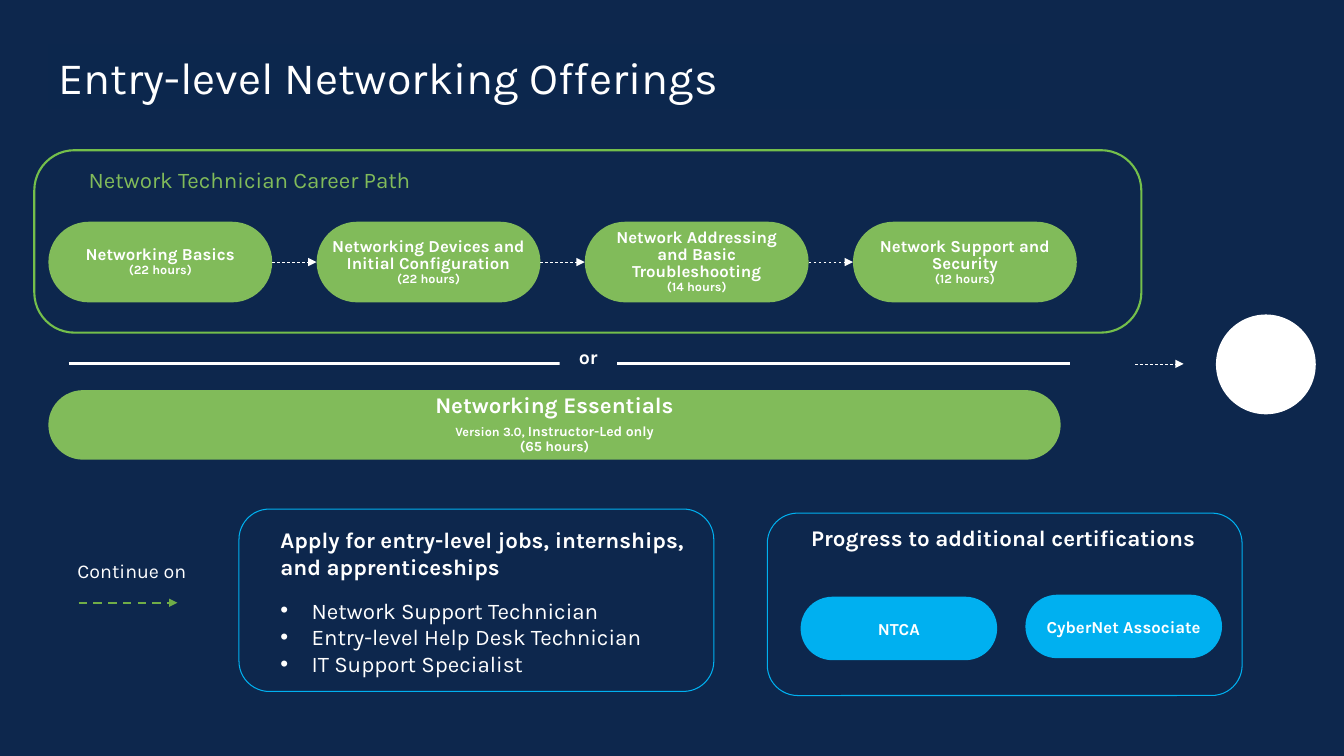
from copy import deepcopy

from lxml.etree import SubElement
from pptx import Presentation
from pptx.dml.color import RGBColor
from pptx.enum.dml import MSO_LINE
from pptx.enum.shapes import MSO_CONNECTOR, MSO_SHAPE
from pptx.enum.text import MSO_ANCHOR, MSO_AUTO_SIZE, PP_ALIGN
from pptx.oxml.ns import qn
from pptx.util import Emu, Pt

NAVY, TITLE_NAVY, WHITE = "0D274D", "0C274D", "FFFFFF"
GREEN, PATH_GREEN, ARROW_GREEN, BLUE = "81BB5A", "74BF4B", "70AD47", "00B0F0"
COURSES = [
    ("Networking Basics", 22),
    ("Networking Devices and Initial Configuration", 22),
    ("Network Addressing\nand Basic Troubleshooting", 14),
    ("Network Support and Security", 12),
]
JOBS = ["Network Support Technician", "Entry-level Help Desk Technician", "IT Support Specialist"]


def px(length):
    return Emu(length * 9144)


def colour(value):
    return RGBColor.from_string(value)


def write(shape, text, size=12, color=WHITE, bold=False, align=PP_ALIGN.LEFT, anchor=MSO_ANCHOR.TOP,
          inset=(10, 5), wrap=True, line_spacing=1.0, before=0, after=0, bullet=False, append=False):
    frame = shape.text_frame
    frame.word_wrap = wrap
    frame.auto_size = MSO_AUTO_SIZE.NONE
    frame.vertical_anchor = anchor
    frame.margin_left = frame.margin_right = px(inset[0])
    frame.margin_top = frame.margin_bottom = px(inset[1])
    paragraph = frame.add_paragraph() if append else frame.paragraphs[0]
    paragraph.alignment = align
    paragraph.line_spacing = line_spacing
    paragraph.space_before, paragraph.space_after = Pt(before), Pt(after)
    properties = paragraph._p.get_or_add_pPr()
    indent = px(31) if bullet else 0
    properties.set("marL", str(indent))
    properties.set("indent", str(-indent))
    if bullet:
        SubElement(properties, qn("a:buFont"), typeface="Arial")
        SubElement(properties, qn("a:buChar"), char="•")
    else:
        SubElement(properties, qn("a:buNone"))
    pieces = [(text, size)] if isinstance(text, str) else text
    for piece, piece_size in pieces:
        for index, line in enumerate(piece.split("\n")):
            if index:
                paragraph.add_line_break()
                paragraph._p[-1].append(deepcopy(run.font._rPr))
            if not line:
                continue
            run = paragraph.add_run()
            run.text = line
            run.font.name = "Karla"
            run.font.size = Pt(piece_size)
            run.font.bold = bold
            run.font.color.rgb = colour(color)


def place(shape, left, top, width, height):
    shape.left, shape.top, shape.width, shape.height = map(px, (left, top, width, height))


def label(slide, box, text, **style):
    write(slide.shapes.add_textbox(*map(px, box)), text, **style)


def block(slide, kind, box, fill=None, line=None, weight=1, corner=None):
    shape = slide.shapes.add_shape(kind, *map(px, box))
    shape.shadow.inherit = False
    if corner is not None:
        shape.adjustments[0] = corner
    if fill:
        shape.fill.solid()
        shape.fill.fore_color.rgb = colour(fill)
    else:
        shape.fill.background()
    if line:
        shape.line.color.rgb = colour(line)
        shape.line.width = Pt(weight)
    else:
        shape.line.fill.background()
    return shape


def pill(slide, box, fill, text, **style):
    shape = block(slide, MSO_SHAPE.ROUNDED_RECTANGLE, box, fill=fill, corner=0.5)
    write(shape, text, bold=True, align=PP_ALIGN.CENTER, anchor=MSO_ANCHOR.MIDDLE, inset=(0, 0), **style)
    return shape


def rule(slide, left, right, y, color=WHITE, weight=0.5, arrow=True):
    connector = slide.shapes.add_connector(MSO_CONNECTOR.STRAIGHT, px(left), px(y), px(right), px(y))
    connector.line.color.rgb = colour(color)
    connector.line.width = Pt(weight)
    if arrow:
        connector.line.dash_style = MSO_LINE.DASH
        SubElement(connector.line._get_or_add_ln(), qn("a:tailEnd"), type="triangle")
    SubElement(connector._element.spPr, qn("a:effectLst"))


def title_bar(slide, box):
    title = slide.shapes.title
    place(title, *box)
    title.fill.solid()
    title.fill.fore_color.rgb = colour(TITLE_NAVY)
    write(title, "Entry-level Networking Offerings", size=32, anchor=MSO_ANCHOR.MIDDLE)


def career_path(slide, box):
    left, top, width, height = box
    pill_width, pitch = 222, 266
    block(slide, MSO_SHAPE.ROUNDED_RECTANGLE, box, line=PATH_GREEN, weight=1.5, corner=0.22)
    label(slide, (left + 44, top + 11, 434, 37), "Network Technician Career Path", size=16, color=GREEN)
    for index, (course, hours) in enumerate(COURSES):
        start = left + 14 + index * pitch
        pill(slide, (start, top + 71, pill_width, 80), GREEN,
             [(course + "\n", 12), (f"({hours} hours)", 9)], line_spacing=0.85)
        if index:
            rule(slide, start - pitch + pill_width, start, top + 111)


def alternative(slide, box):
    left, top, width, height = box
    rule(slide, left + 20, left + 1013, top + 24, weight=2.25, arrow=False)
    divider = block(slide, MSO_SHAPE.RECTANGLE, (left + 507, top, 57, 34), fill=NAVY)
    write(divider, "or", size=14, bold=True, align=PP_ALIGN.CENTER)
    essentials = pill(slide, (left, top + 50, width, height - 50), GREEN,
                      "Networking Essentials", size=16, line_spacing=0.85)
    write(essentials, [("Version 3.0, ", 9), ("Instructor-Led only\n(65 hours)", 10)], bold=True,
          align=PP_ALIGN.CENTER, anchor=MSO_ANCHOR.MIDDLE, inset=(0, 0),
          line_spacing=0.85, before=5, append=True)


def outcome(slide, box):
    left, top, width, height = box
    rule(slide, left, left + 48, top + height // 2)
    block(slide, MSO_SHAPE.OVAL, (left + width - height, top, height, height), fill=WHITE)


def continue_on(slide, box):
    left, top, width, height = box
    label(slide, (left, top, width, 34), "Continue on", size=14)
    rule(slide, left + 11, left + 109, top + height, color=ARROW_GREEN, weight=1.5)


def jobs(slide, box):
    left, top, width, height = box
    block(slide, MSO_SHAPE.ROUNDED_RECTANGLE, box, line=BLUE, weight=0.75)
    body = slide.placeholders[1]
    place(body, left + 31, top + 12, 434, 162)
    write(body, "Apply for entry-level jobs, internships, and apprenticeships", size=16, bold=True, after=12)
    for job in JOBS:
        write(body, job, size=16, bullet=True, append=True)


def certifications(slide, box):
    left, top, width, height = box
    block(slide, MSO_SHAPE.ROUNDED_RECTANGLE, box, line=BLUE, weight=0.75)
    label(slide, (left + 17, top + 6, 434, 37), "Progress to additional certifications",
          size=16, bold=True, align=PP_ALIGN.CENTER)
    for x, y, name in ((33, 83, "NTCA"), (256, 81, "CyberNet Associate")):
        pill(slide, (left + x, top + y, 195, 63), BLUE, name, wrap=False)


def main():
    presentation = Presentation()
    presentation.slide_width, presentation.slide_height = px(1333), px(750)
    slide = presentation.slides.add_slide(presentation.slide_layouts[1])
    slide.background.fill.solid()
    slide.background.fill.fore_color.rgb = colour(NAVY)
    title_bar(slide, (48, 44, 963, 64))
    career_path(slide, (34, 149, 1098, 181))
    alternative(slide, (48, 337, 1004, 119))
    outcome(slide, (1126, 312, 179, 99))
    continue_on(slide, (67, 550, 137, 48))
    jobs(slide, (237, 505, 471, 181))
    certifications(slide, (761, 509, 471, 181))
    presentation.save("out.pptx")


if __name__ == "__main__":
    main()
